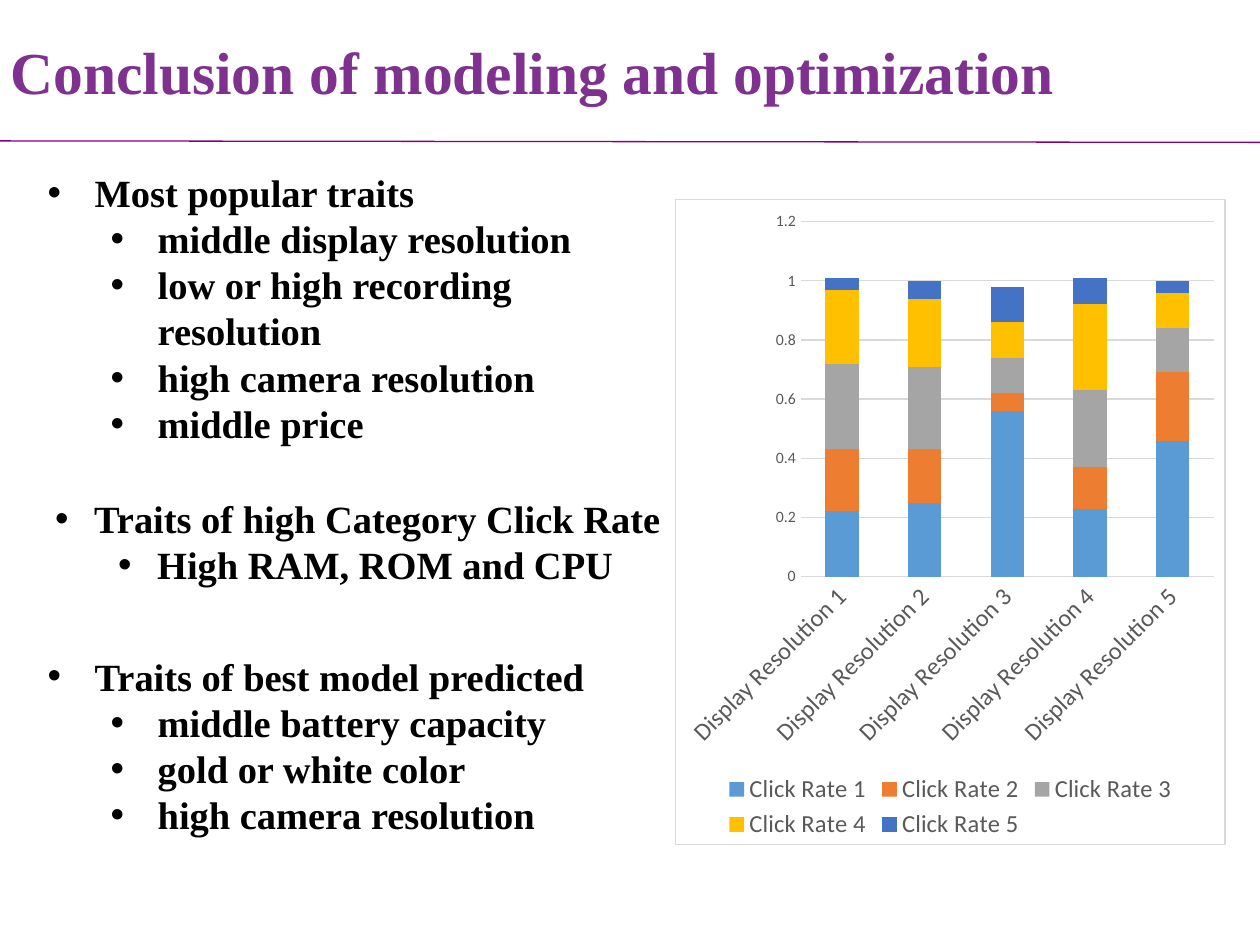
import pptx
import pptx.chart.data
import pptx.dml.color
import pptx.enum.chart
import pptx.enum.shapes
import pptx.enum.text
import pptx.oxml
import pptx.oxml.ns
import pptx.util
from pptx.util import Cm

COLORS = {
    "title": "7E318E", "rule": "800080", "text": "000000",
    "label": "595959", "grid": "D9D9D9", "background": "FFFFFF",
}
SERIES = [
    ("Click Rate 1", "5B9BD5", (0.22, 0.25, 0.56, 0.23, 0.46)),
    ("Click Rate 2", "ED7D31", (0.21, 0.18, 0.06, 0.14, 0.23)),
    ("Click Rate 3", "A5A5A5", (0.29, 0.28, 0.12, 0.26, 0.15)),
    ("Click Rate 4", "FFC000", (0.25, 0.23, 0.12, 0.29, 0.12)),
    ("Click Rate 5", "4472C4", (0.04, 0.06, 0.12, 0.09, 0.04)),
]
# Each group: left, top, width, height, hanging indent (cm), heading, traits
TRAIT_GROUPS = [
    (0.71, 3.28, 13.3, 5.89, 0.95, "Most popular traits",
     ["middle display resolution", "low or high recording resolution",
      "high camera resolution", "middle price"]),
    (0.71, 13.03, 12.9, 4.01, 0.95, "Traits of best model predicted",
     ["middle battery capacity", "gold or white color",
      "high camera resolution"]),
    (0.86, 9.86, 12.9, 2.13, 0.79, "Traits of high Category Click Rate",
     ["High RAM, ROM and CPU"]),
]
SERIF = "Times New Roman"
SANS = "Calibri"
LEVEL_STEP = 1.27


def rgb(name):
    return pptx.dml.color.RGBColor.from_string(COLORS[name])


def style_font(font, face, size, color, bold=False):
    font.name = face
    font.size = pptx.util.Pt(size)
    font.color.rgb = rgb(color)
    font.bold = bold


def style_line(line, color):
    line.color.rgb = rgb(color)
    line.width = pptx.util.Pt(0.75)


def add_box(slide, left, top, width, height):
    box = slide.shapes.add_textbox(Cm(left), Cm(top), Cm(width), Cm(height))
    box.text_frame.word_wrap = True
    return box


def add_span(para, text, size, color):
    span = para.add_run()
    span.text = text
    style_font(span.font, SERIF, size, color, bold=True)


def add_title(slide, text):
    frame = add_box(slide, -0.03, -0.08, 23.09, 3.18).text_frame
    frame.vertical_anchor = pptx.enum.text.MSO_ANCHOR.MIDDLE
    para = frame.paragraphs[0]
    para.line_spacing = 0.9
    add_span(para, text, 34, "title")


def add_rule(slide):
    rule = slide.shapes.add_connector(
        pptx.enum.shapes.MSO_CONNECTOR.STRAIGHT,
        Cm(0), Cm(2.84), Cm(25.4), Cm(2.87))
    style_line(rule.line, "rule")
    rule.element.spPr.append(pptx.oxml.parse_xml(
        f"<a:effectLst {pptx.oxml.ns.nsdecls('a')}/>"))


def set_bullet(para, level, hanging):
    para.level = level
    properties = para._p.get_or_add_pPr()
    properties.set("marL", str(Cm(hanging + level * LEVEL_STEP)))
    properties.set("indent", str(-Cm(hanging)))
    for tag, attribute in (("buFont", 'typeface="Arial"'),
                           ("buChar", 'char="•"')):
        properties.append(pptx.oxml.parse_xml(
            f"<a:{tag} {pptx.oxml.ns.nsdecls('a')} {attribute}/>"))


def add_trait_group(slide, left, top, width, height, hanging, heading, traits):
    frame = add_box(slide, left, top, width, height).text_frame
    frame.auto_size = pptx.enum.text.MSO_AUTO_SIZE.SHAPE_TO_FIT_TEXT
    for index, text in enumerate([heading, *traits]):
        para = frame.add_paragraph() if index else frame.paragraphs[0]
        set_bullet(para, min(index, 1), hanging)
        add_span(para, text, 22, "text")


def frame_chart(chart):
    """Give the chart area its fill and border, and slant the category labels."""
    area = pptx.oxml.parse_xml(
        f"<c:spPr {pptx.oxml.ns.nsdecls('c', 'a')}>"
        f'<a:solidFill><a:srgbClr val="{COLORS["background"]}"/></a:solidFill>'
        f'<a:ln w="9525"><a:solidFill><a:srgbClr val="{COLORS["grid"]}"/>'
        "</a:solidFill></a:ln></c:spPr>")
    chart.element.find(pptx.oxml.ns.qn("c:chart")).addnext(area)
    for body in chart.element.xpath(".//c:catAx/c:txPr/a:bodyPr"):
        body.set("rot", "-2700000")
        body.set("vert", "horz")


def style_axes(chart):
    category, value = chart.category_axis, chart.value_axis
    for axis, size in ((category, 14), (value, 9)):
        axis.major_tick_mark = pptx.enum.chart.XL_TICK_MARK.NONE
        axis.minor_tick_mark = pptx.enum.chart.XL_TICK_MARK.NONE
        style_font(axis.tick_labels.font, SANS, size, "label")
    style_line(category.format.line, "grid")
    value.format.line.fill.background()
    value.minimum_scale, value.maximum_scale, value.major_unit = 0, 1.2, 0.2
    value.has_major_gridlines = True
    style_line(value.major_gridlines.format.line, "grid")


def add_click_chart(slide):
    data = pptx.chart.data.CategoryChartData()
    data.categories = [f"Display Resolution {n}" for n in range(1, 6)]
    for name, _, values in SERIES:
        data.add_series(name, values)
    chart = slide.shapes.add_chart(
        pptx.enum.chart.XL_CHART_TYPE.COLUMN_STACKED,
        Cm(13.61), Cm(4.01), Cm(11.1), Cm(13.03), data).chart
    chart.has_title = False
    style_font(chart.font, SANS, 10, "text")
    plot = chart.plots[0]
    plot.gap_width, plot.overlap = 150, 100
    plot.vary_by_categories = False
    for series, (_, color, _) in zip(plot.series, SERIES):
        series.format.fill.solid()
        series.format.fill.fore_color.rgb = (
            pptx.dml.color.RGBColor.from_string(color))
    style_axes(chart)
    chart.has_legend = True
    chart.legend.position = pptx.enum.chart.XL_LEGEND_POSITION.BOTTOM
    chart.legend.include_in_layout = False
    style_font(chart.legend.font, SANS, 14, "label")
    frame_chart(chart)


def main():
    deck = pptx.Presentation()
    deck.slide_width, deck.slide_height = Cm(25.4), Cm(19.05)
    slide = deck.slides.add_slide(deck.slide_layouts[6])
    add_rule(slide)
    add_title(slide, "Conclusion of modeling and optimization")
    add_click_chart(slide)
    for group in TRAIT_GROUPS:
        add_trait_group(slide, *group)
    deck.save("out.pptx")


if __name__ == "__main__":
    main()
